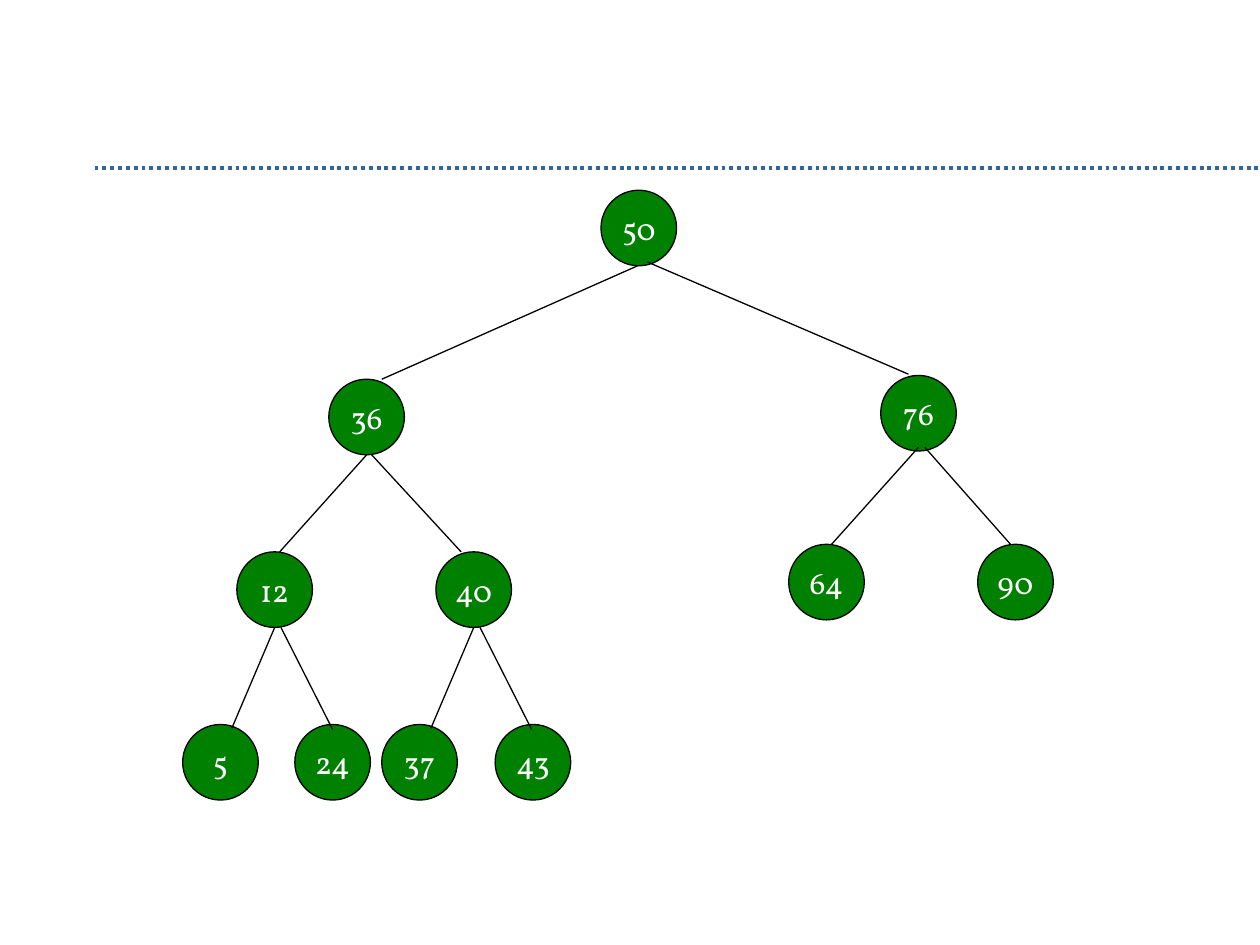
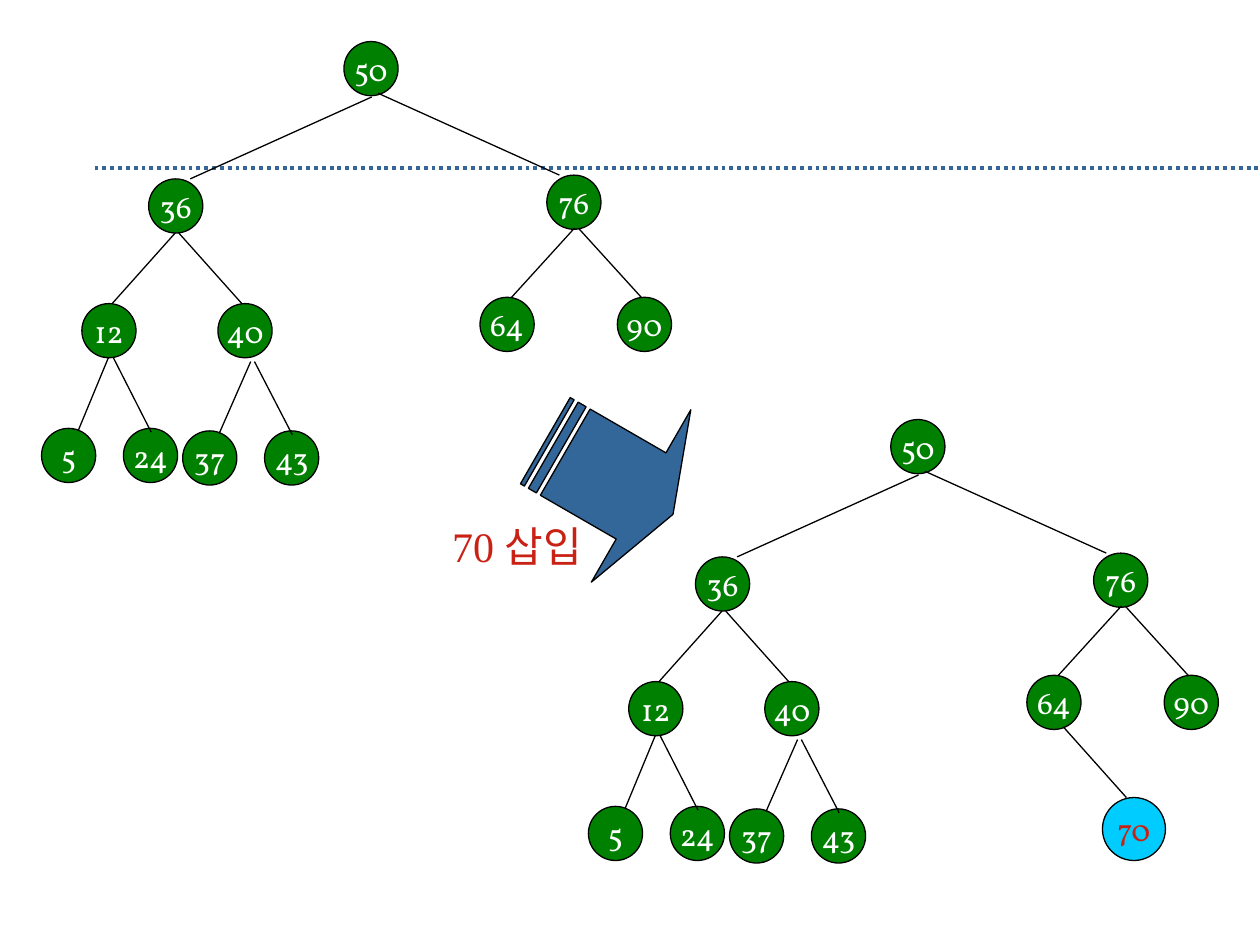
from dataclasses import dataclass

from lxml.etree import SubElement
from pptx import Presentation
from pptx.dml.color import RGBColor
from pptx.enum.dml import MSO_LINE
from pptx.enum.shapes import MSO_CONNECTOR, MSO_SHAPE
from pptx.enum.text import MSO_ANCHOR, MSO_AUTO_SIZE, PP_ALIGN
from pptx.oxml.ns import qn
from pptx.shapes.autoshape import Shape
from pptx.slide import Slide
from pptx.util import Inches, Pt

COLORS = {
    "rule": "336699",
    "outline": "000000",
    "node": "008000",
    "node_text": "FFFFFF",
    "new_node": "00CCFF",
    "accent": "C92215",
}
NODE_FONT = "Vollkorn"
LABEL_FONT = "Times New Roman"


@dataclass(frozen=True)
class Link:
    x1: float
    y1: float
    x2: float
    y2: float


@dataclass(frozen=True)
class Node:
    value: int
    left: float
    top: float
    link: Link | None = None
    fill: str = "node"
    text: str = "node_text"


@dataclass(frozen=True)
class Tree:
    diameter: float
    nodes: tuple[Node, ...]


LARGE_TREE = Tree(0.6, (
    Node(50, 4.77, 1.51),
    Node(36, 2.61, 3.01, Link(5.06, 2.11, 3.03, 3.01)),
    Node(76, 6.99, 2.98, Link(5.14, 2.08, 7.21, 2.97)),
    Node(12, 1.88, 4.38, Link(2.91, 3.61, 2.22, 4.38)),
    Node(40, 3.46, 4.38, Link(2.95, 3.61, 3.66, 4.38)),
    Node(64, 6.26, 4.32, Link(7.29, 3.55, 6.6, 4.32)),
    Node(90, 7.76, 4.32, Link(7.34, 3.55, 8.02, 4.32)),
    Node(5, 1.45, 5.75, Link(2.18, 4.98, 1.84, 5.78)),
    Node(24, 2.34, 5.75, Link(2.23, 4.98, 2.64, 5.79)),
    Node(37, 3.03, 5.75, Link(3.76, 4.98, 3.42, 5.78)),
    Node(43, 3.93, 5.75, Link(3.81, 4.98, 4.22, 5.79)),
))
SMALL_TREE = Tree(0.43, (
    Node(50, 2.73, 0.33),
    Node(36, 1.18, 1.42, Link(2.95, 0.77, 1.51, 1.42)),
    Node(76, 4.34, 1.39, Link(3, 0.74, 4.44, 1.39)),
    Node(12, 0.65, 2.41, Link(1.39, 1.85, 0.89, 2.41)),
    Node(40, 1.73, 2.41, Link(1.42, 1.85, 1.92, 2.41)),
    Node(64, 3.81, 2.36, Link(4.56, 1.81, 4.06, 2.36)),
    Node(90, 4.9, 2.36, Link(4.59, 1.81, 5.09, 2.36)),
    Node(5, 0.33, 3.4, Link(0.86, 2.84, 0.62, 3.42)),
    Node(24, 0.98, 3.4, Link(0.9, 2.84, 1.2, 3.43)),
    Node(37, 1.45, 3.42, Link(1.99, 2.87, 1.74, 3.44)),
    Node(43, 2.1, 3.42, Link(2.02, 2.87, 2.32, 3.45)),
))
INSERTED = Tree(0.5, (
    Node(70, 8.75, 6.33, Link(8.44, 5.77, 8.94, 6.33), "new_node", "accent"),
))
RESULT_OFFSET = (4.34, 3.0)


def rgb(name: str) -> RGBColor:
    return RGBColor.from_string(COLORS[name])


def add_line(slide: Slide, link: Link, color: str = "outline",
             width: float = 0.75, dash: MSO_LINE | None = None) -> None:
    line = slide.shapes.add_connector(
        MSO_CONNECTOR.STRAIGHT,
        Inches(link.x1), Inches(link.y1), Inches(link.x2), Inches(link.y2))
    line.line.color.rgb = rgb(color)
    line.line.width = Pt(width)
    if dash is not None:
        line.line.dash_style = dash
    SubElement(line._element.spPr, qn("a:effectLst"))


def add_filled(slide: Slide, kind: MSO_SHAPE, left: float, top: float,
               width: float, height: float, fill: str) -> Shape:
    shape = slide.shapes.add_shape(
        kind, Inches(left), Inches(top), Inches(width), Inches(height))
    shape.shadow.inherit = False
    shape.fill.solid()
    shape.fill.fore_color.rgb = rgb(fill)
    shape.line.color.rgb = rgb("outline")
    shape.line.width = Pt(0.75)
    return shape


def write(shape: Shape, text: str, font_name: str, size: float,
          color: str, align: PP_ALIGN) -> None:
    frame = shape.text_frame
    frame.text = text
    frame.word_wrap = False
    paragraph = frame.paragraphs[0]
    paragraph.alignment = align
    font = paragraph.runs[0].font
    font.name = font_name
    font.size = Pt(size)
    font.color.rgb = rgb(color)


def draw_tree(slide: Slide, tree: Tree, dx: float = 0, dy: float = 0) -> None:
    for node in tree.nodes:
        circle = add_filled(slide, MSO_SHAPE.OVAL, node.left + dx, node.top + dy,
                            tree.diameter, tree.diameter, node.fill)
        write(circle, str(node.value), NODE_FONT, 18, node.text, PP_ALIGN.CENTER)
        circle.text_frame.vertical_anchor = MSO_ANCHOR.MIDDLE
    for node in tree.nodes:
        if node.link:
            link = node.link
            add_line(slide, Link(link.x1 + dx, link.y1 + dy,
                                 link.x2 + dx, link.y2 + dy))


def add_ruled_slide(presentation: Presentation) -> Slide:
    slide = presentation.slides.add_slide(presentation.slide_layouts[6])
    add_line(slide, Link(0.75, 1.33, 10, 1.33), "rule", 2.25, MSO_LINE.ROUND_DOT)
    return slide


def build_search_tree(presentation: Presentation) -> None:
    draw_tree(add_ruled_slide(presentation), LARGE_TREE)


def build_insertion(presentation: Presentation) -> None:
    slide = add_ruled_slide(presentation)
    draw_tree(slide, SMALL_TREE)
    draw_tree(slide, SMALL_TREE, *RESULT_OFFSET)

    arrow = add_filled(slide, MSO_SHAPE.STRIPED_RIGHT_ARROW,
                       4.25, 3, 1.17, 1.58, "rule")
    arrow.adjustments[0] = 0.5
    arrow.adjustments[1] = 0.25
    arrow.rotation = 30

    label = slide.shapes.add_textbox(
        Inches(3.49), Inches(4.08), Inches(1.31), Inches(0.5))
    write(label, "70 삽입", LABEL_FONT, 24, "accent", PP_ALIGN.LEFT)
    label.text_frame.auto_size = MSO_AUTO_SIZE.SHAPE_TO_FIT_TEXT

    draw_tree(slide, INSERTED)


def main() -> None:
    presentation = Presentation()
    presentation.slide_width = Inches(10)
    presentation.slide_height = Inches(7.5)
    build_search_tree(presentation)
    build_insertion(presentation)
    presentation.save("out.pptx")


if __name__ == "__main__":
    main()
